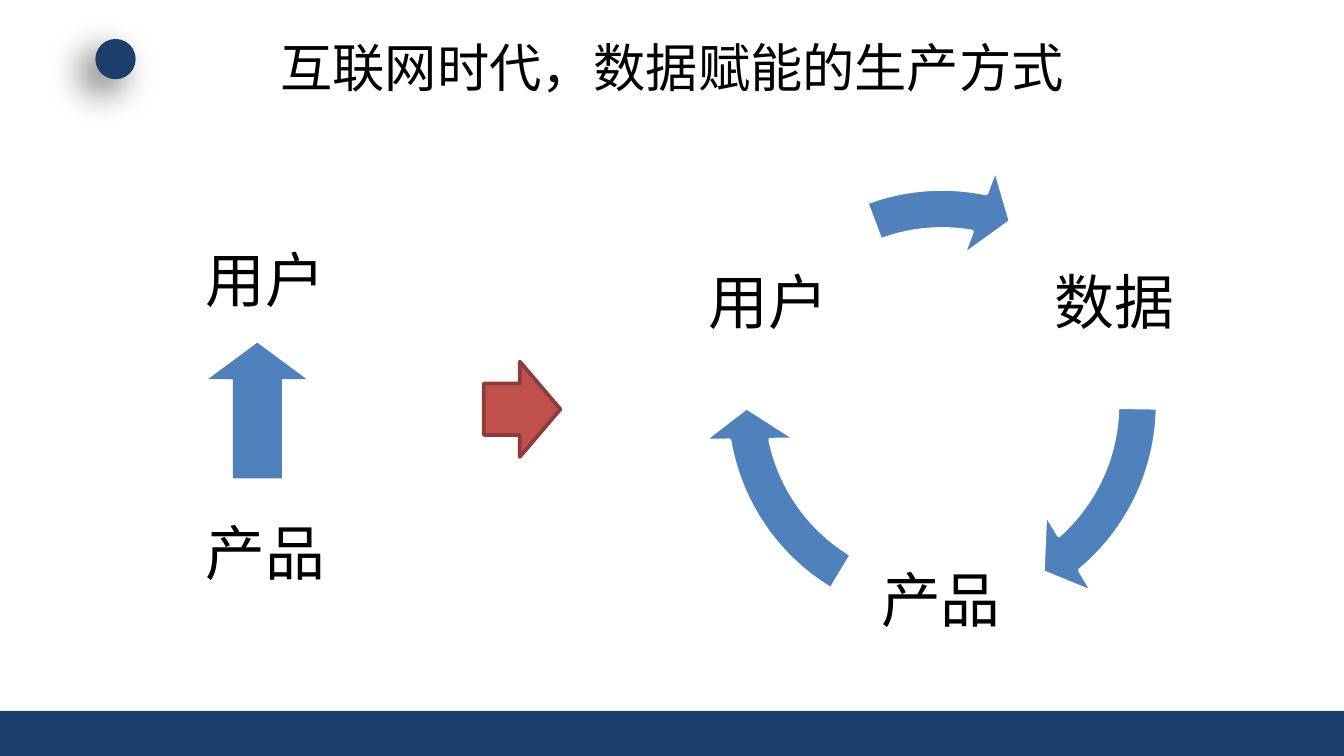
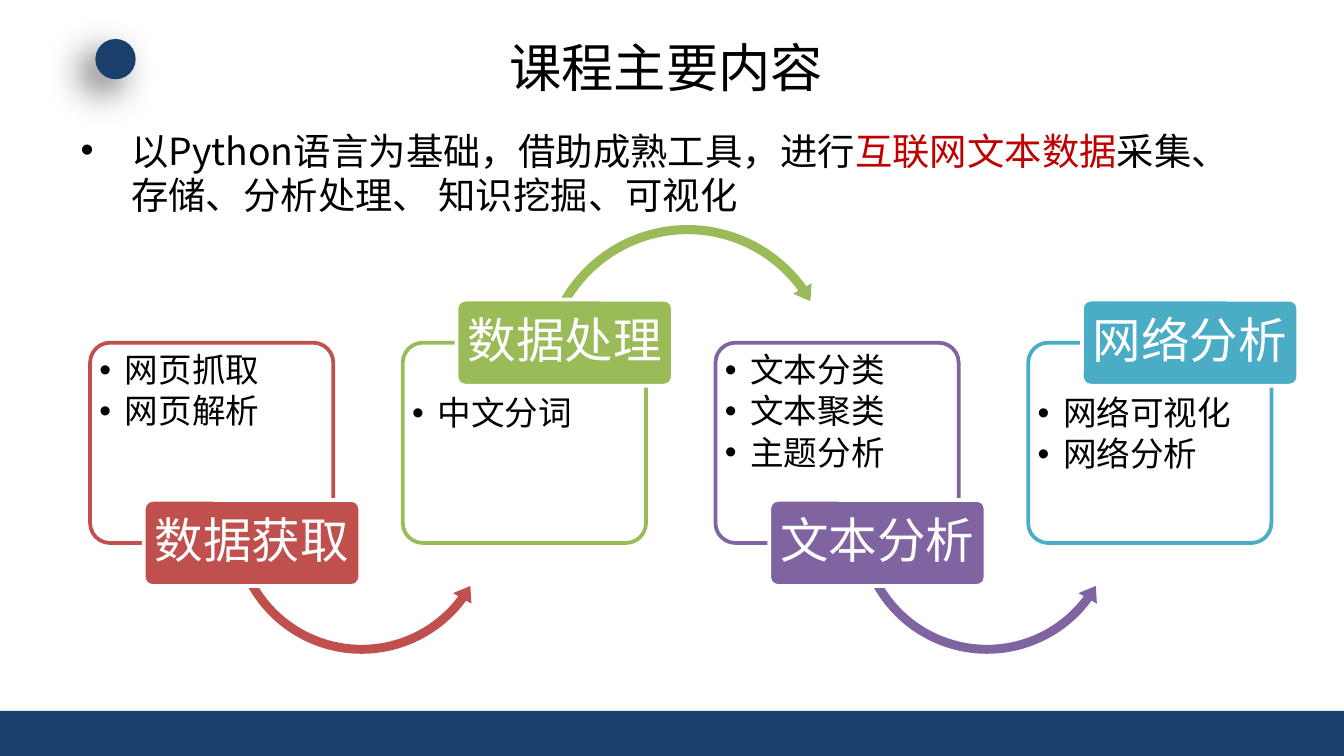
"""Build two slides on data-driven production and course content."""
from lxml import etree
from pptx import Presentation
from pptx.dml.color import RGBColor
from pptx.enum.shapes import MSO_SHAPE
from pptx.enum.text import MSO_ANCHOR, PP_ALIGN
from pptx.oxml.ns import qn
from pptx.util import Inches, Pt

NAVY = RGBColor(0x1A, 0x3F, 0x6C)
BLUE = RGBColor(0x4F, 0x81, 0xBD)
RED = RGBColor(0xC0, 0x50, 0x4D)
DARK_RED = RGBColor(0x8E, 0x3B, 0x39)
GREEN = RGBColor(0x9B, 0xBB, 0x59)
PURPLE = RGBColor(0x80, 0x64, 0xA2)
TEAL = RGBColor(0x4B, 0xAC, 0xC6)
ACCENT = RGBColor(0xC0, 0x00, 0x00)
BLACK = RGBColor(0, 0, 0)
WHITE = RGBColor(0xFF, 0xFF, 0xFF)
CJK = "Noto Sans CJK SC"

PRODUCTION_TITLE = "互联网时代，数据赋能的生产方式"
CHAIN = [("用户", 1.76, "Arial"), ("产品", 3.79, CJK)]
CYCLE = [  # label, left, top, arrow end angle, arrow start angle
    ("数据", 7.53, 1.51, 49.38, 0.88),
    ("产品", 6.24, 3.73, 169.52, 121.02),
    ("用户", 4.96, 1.51, 280.93, 249.47),
]

COURSE_TITLE = "课程主要内容 "
SUMMARY = [
    ("以Python语言为基础，借助成熟工具，进行", BLACK),
    ("互联网文本数据", ACCENT),
    ("采集、存储、分析处理、 知识挖掘、可视化", BLACK),
]
STAGES = [
    ("数据获取", RED, ["网页抓取", "网页解析"]),
    ("数据处理", GREEN, ["中文分词"]),
    ("文本分析", PURPLE, ["文本分类", "文本聚类", "主题分析"]),
    ("网络分析", TEAL, ["网络可视化", "网络分析"]),
]


def place(sp, box):
    """Move and size a shape, in inches."""
    sp.left, sp.top, sp.width, sp.height = (Inches(v) for v in box)


def style(run, size, font=CJK, color=BLACK):
    """Format one run."""
    run.font.size, run.font.name = Pt(size), font
    run.font.color.rgb = color


def add_shape(slide, kind, box, fill, line=None, adj=()):
    """Add a flat preset shape with an optional 2 pt outline."""
    sp = slide.shapes.add_shape(kind, *(Inches(v) for v in box))
    sp.shadow.inherit = False
    sp.fill.solid()
    sp.fill.fore_color.rgb = fill
    if line is None:
        sp.line.fill.background()
    else:
        sp.line.color.rgb = line
        sp.line.width = Pt(2)
    for i, value in enumerate(adj):
        sp.adjustments[i] = value
    return sp


def add_arc(slide, kind, box, fill, percents, angles, line=None):
    """Add a circular arrow from (thickness, head) percents and (head, end, start) degrees."""
    thickness, head = (v / 100 for v in percents)
    adj = (thickness, *(a * 0.6 for a in angles), head)
    return add_shape(slide, kind, box, fill, line, adj)


def write(sp, lines, size, font, color=BLACK, inset=0.04, after=0):
    """Fill a shape with lines of text at 90 % line spacing."""
    tf = sp.text_frame
    tf.word_wrap = True
    tf.margin_left = tf.margin_right = Inches(inset)
    tf.margin_top = tf.margin_bottom = Inches(0.04)
    tf.text = "\n".join(lines)
    for p in tf.paragraphs:
        p.line_spacing, p.space_after = 0.9, Pt(after)
        style(p.runs[0], size, font, color)
    return tf


def write_centred(sp, label, *args, **kwargs):
    """Fill a shape with one label, centred both ways."""
    tf = write(sp, [label], *args, **kwargs)
    tf.vertical_anchor = MSO_ANCHOR.MIDDLE
    tf.paragraphs[0].alignment = PP_ALIGN.CENTER


def add_textbox(slide, box):
    """Add an empty text box, placed in inches."""
    return slide.shapes.add_textbox(*(Inches(v) for v in box))


def add_slide(prs, layout, title):
    """Add a slide with its formatted title."""
    slide = prs.slides.add_slide(prs.slide_layouts[layout])
    sp = slide.shapes.title
    place(sp, (0.5, 0.22, 9, 0.55))
    tf = sp.text_frame
    tf.text = title
    tf.vertical_anchor = MSO_ANCHOR.MIDDLE
    tf.paragraphs[0].alignment = PP_ALIGN.CENTER
    style(tf.paragraphs[0].runs[0], 28)
    return slide


def decorate_master(prs, slide):
    """Put the bottom band and the shadowed dot on the master."""
    band = add_shape(slide, MSO_SHAPE.RECTANGLE, (0, 5.29, 10, 0.34), NAVY)
    dot = add_shape(slide, MSO_SHAPE.OVAL, (0.71, 0.29, 0.3, 0.3), NAVY)
    effects = dot.element.spPr.find(qn("a:effectLst"))
    shadow = etree.SubElement(effects, qn("a:outerShdw"), blurRad=str(Pt(20)),
                              dist=str(Pt(10)), dir=str(135 * 60000),
                              algn="tr", rotWithShape="0")
    color = etree.SubElement(shadow, qn("a:srgbClr"), val="000000")
    etree.SubElement(color, qn("a:alpha"), val="60000")
    for i, sp in enumerate((band, dot)):
        prs.slide_master.shapes.element.insert(2 + i, sp.element)


def build_production(slide):
    """Draw the product chain turning into a data cycle."""
    for label, left, top, end, start in CYCLE:
        write_centred(add_textbox(slide, (left, top, 1.52, 1.52)), label, 32, "Arial")
        add_arc(slide, MSO_SHAPE.CIRCULAR_ARROW, (5.21, 1.21, 3.6, 3.6), BLUE,
                (8.3, 9.6), (9.61, end, start), WHITE)
    up = add_shape(slide, MSO_SHAPE.RIGHT_ARROW, (1.41, 2.69, 1.01, 0.73), BLUE,
                   adj=(0.5, 0.37))
    up.rotation = 270
    for label, top, font in CHAIN:
        tf = add_textbox(slide, (1.43, top, 1.1, 0.64)).text_frame
        tf.word_wrap = False
        tf.text = label
        style(tf.paragraphs[0].runs[0], 32, font)
    add_shape(slide, MSO_SHAPE.RIGHT_ARROW, (3.6, 2.69, 0.57, 0.71), RED,
              DARK_RED, (0.54, 0.53))


def build_course(slide):
    """Write the summary and draw the four stages."""
    body = slide.placeholders[1]
    place(body, (0.5, 0.9, 9, 4.31))
    p = body.text_frame.paragraphs[0]
    for part, color in SUMMARY:
        r = p.add_run()
        r.text = part
        style(r, 20, color=color)

    for i, (name, color, topics) in enumerate(STAGES):
        x = 0.67 + 6.98 / 3 * i
        tag_on_top = i % 2 == 1
        card = add_shape(slide, MSO_SHAPE.ROUNDED_RECTANGLE, (x, 2.55, 1.81, 1.49),
                         WHITE, color, (0.1,))
        fill = card.element.spPr.find(qn("a:solidFill"))
        etree.SubElement(fill[0], qn("a:alpha"), val="90000")

        box = add_textbox(slide, (x + 0.03, 2.91 if tag_on_top else 2.59, 1.74, 1.1))
        for p in write(box, topics, 18, "Calibri", after=2.7).paragraphs:
            p.level = 1
            pPr = p._p.get_or_add_pPr()
            pPr.set("marL", str(Inches(0.19)))
            pPr.set("indent", str(-Inches(0.19)))
            etree.SubElement(pPr, qn("a:buFont"), typeface="Arial")
            etree.SubElement(pPr, qn("a:buChar"), char="•")

        if i < len(STAGES) - 1:
            if tag_on_top:
                add_arc(slide, MSO_SHAPE.CIRCULAR_ARROW, (x + 0.99, 1.63, 2.26, 2.26),
                        color, (3, 3.5), (6.05, 324.36, 209.59))
            else:
                add_arc(slide, MSO_SHAPE.LEFT_CIRCULAR_ARROW, (x + 1.01, 2.89, 2.02, 2.02),
                        color, (3.3, 3.9), (6.79, 36.39, 150.41))

        tag = add_shape(slide, MSO_SHAPE.ROUNDED_RECTANGLE,
                        (x + 0.4, 2.23 if tag_on_top else 3.72, 1.61, 0.64),
                        color, WHITE, (0.1,))
        write_centred(tag, name, 26, "Calibri", WHITE, inset=0.05)


def main():
    """Build and save the deck."""
    prs = Presentation()
    prs.slide_width = Inches(10)
    prs.slide_height = prs.slide_width * 9 // 16
    production = add_slide(prs, 5, PRODUCTION_TITLE)
    decorate_master(prs, production)
    build_production(production)
    build_course(add_slide(prs, 1, COURSE_TITLE))
    prs.save("out.pptx")


if __name__ == "__main__":
    main()
